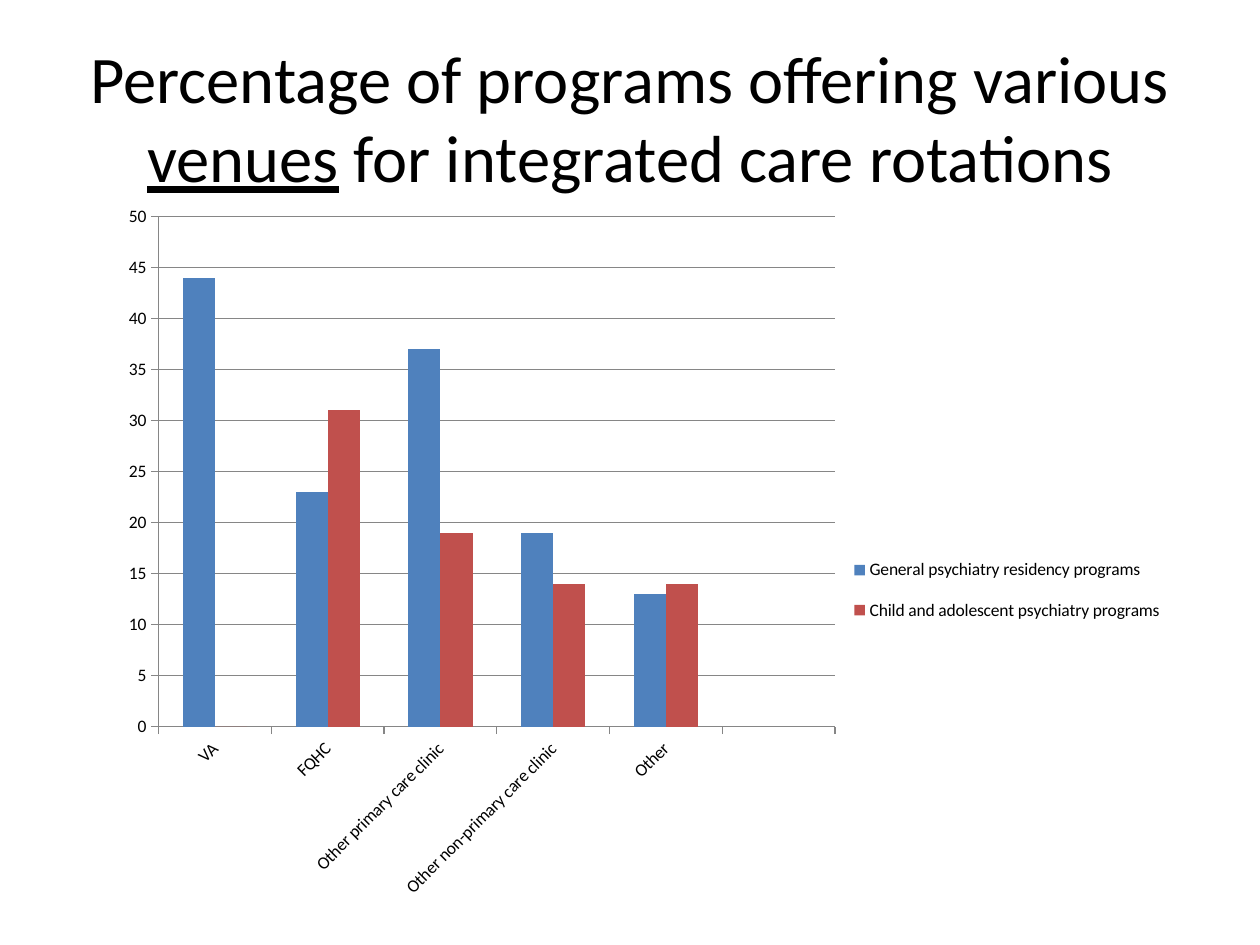
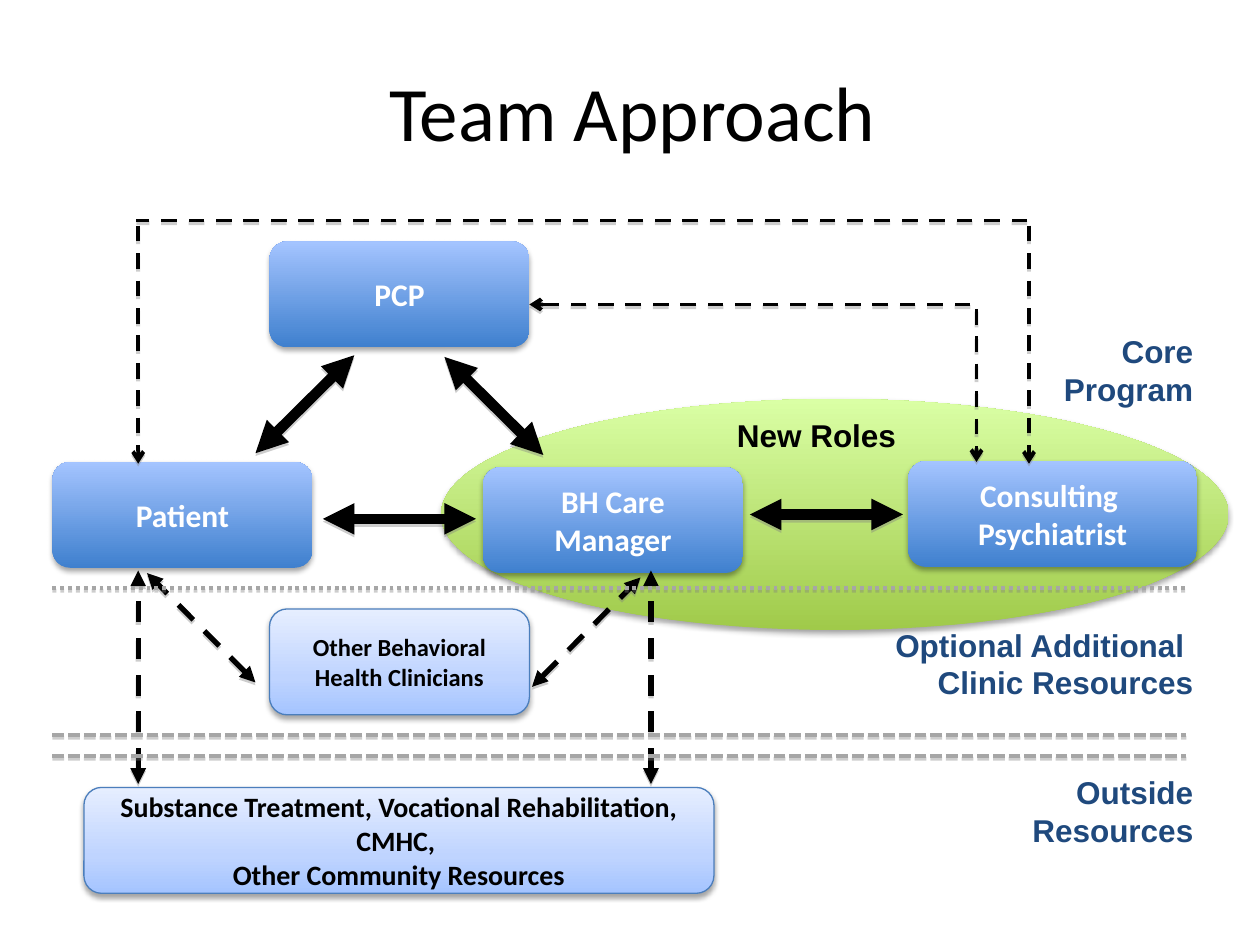
"""Build two slides on integrated care: a venue chart and a team diagram."""
from copy import deepcopy

from lxml.etree import SubElement
from pptx import Presentation
from pptx.chart.data import CategoryChartData
from pptx.dml.color import RGBColor
from pptx.enum.chart import XL_CHART_TYPE as ChartType, XL_LEGEND_POSITION as LegendPosition
from pptx.enum.chart import XL_TICK_MARK as TickMark
from pptx.enum.dml import MSO_LINE as Dash
from pptx.enum.shapes import MSO_CONNECTOR as Connector, MSO_SHAPE as Shape
from pptx.enum.text import MSO_ANCHOR as Anchor, PP_ALIGN as Align
from pptx.oxml.ns import qn
from pptx.util import Pt

colour = RGBColor.from_string
BLACK, WHITE, NAVY, GREY, AXIS_GREY = "000000", "FFFFFF", "1F497D", "A6A6A6", "868686"
GREEN_FADE = [(0, "A0CA4A"), (1, "DAFFA5")]
BLUE_FADE = [(0, "3F80CE"), (1, "A4C4FF")]
PALE_FADE = [(0, "A4C4FF"), (0.35, "BFD4FF"), (1, "E6EEFF")]
BOX_WIDTH, BOX_HEIGHT = 148.5, 60.5


def write_text(shape, lines, align, text_colour, **formats):
    """Write one paragraph per line; parts between bars are underlined."""
    frame = shape.text_frame
    for index, line in enumerate(lines):
        paragraph = frame.add_paragraph() if index else frame.paragraphs[0]
        paragraph.alignment = align
        for part_number, part in enumerate(line.split("|")):
            run = paragraph.add_run()
            run.text = part
            run.font.color.rgb = colour(text_colour)
            if part_number % 2:
                run.font.underline = True
            for name, value in formats.items():
                setattr(run.font, name, value)


def cast_shadow(shape, shadow_colour, opacity, blur, distance):
    """Drop a shadow straight below a shape or connector."""
    effects = SubElement(shape._element.spPr, qn("a:effectLst"))
    shadow = SubElement(effects, qn("a:outerShdw"), blurRad=str(Pt(blur)), dist=str(Pt(distance)),
                        dir="5400000", rotWithShape="0")
    tint = SubElement(shadow, qn("a:srgbClr"), val=shadow_colour)
    SubElement(tint, qn("a:alpha"), val=str(opacity * 1000))


presentation = Presentation()
presentation.slide_width, presentation.slide_height = Pt(720), Pt(540)
blank_layout = presentation.slide_layouts[6]
venue_slide, team_slide = [presentation.slides.add_slide(blank_layout) for _ in range(2)]

chart_data = CategoryChartData()
chart_data.categories = ["VA", "FQHC", "Other primary care clinic",
                         "Other non-primary care clinic", "Other", ""]
chart_data.add_series("General psychiatry residency programs", [44, 23, 37, 19, 13, None])
chart_data.add_series("Child and adolescent psychiatry programs", [0, 31, 19, 14, 14, None])
chart = venue_slide.shapes.add_chart(ChartType.COLUMN_CLUSTERED, Pt(60), Pt(111.5),
                                     Pt(613.5), Pt(410.5), chart_data).chart
chart.has_title = False
chart.font.name, chart.font.size = "Calibri", Pt(10)
chart.font.color.rgb = colour(BLACK)
plot = chart.plots[0]
plot.gap_width, plot.overlap, plot.vary_by_categories = 150, 0, False
for series, series_colour in zip(plot.series, ["4F81BD", "C0504D"]):
    series.format.fill.solid()
    series.format.fill.fore_color.rgb = colour(series_colour)

category_axis, value_axis = chart.category_axis, chart.value_axis
value_axis.minimum_scale, value_axis.maximum_scale, value_axis.major_unit = 0, 50, 5
value_axis.has_major_gridlines = True
for axis in (category_axis, value_axis):
    axis.major_tick_mark, axis.minor_tick_mark = TickMark.OUTSIDE, TickMark.NONE
    axis.tick_labels.font.size = Pt(10)
for line_format in (category_axis.format, value_axis.format, value_axis.major_gridlines.format):
    line_format.line.color.rgb = colour(AXIS_GREY)
    line_format.line.width = Pt(0.75)
category_axis._element.find(".//" + qn("a:bodyPr")).set("rot", "-2700000")

chart.has_legend = True
chart.legend.position = LegendPosition.RIGHT
chart.legend.include_in_layout = False
plot_area = chart._chartSpace.chart.plotArea
for element, index, target, place in [(plot_area, 0, "inner", (0.05, 0.03, 0.63, 0.71)),
                                      (chart.legend._element, 1, None, (0.69, 0.48, 0.3, 0.14))]:
    for old_layout in element.findall(qn("c:layout")):
        element.remove(old_layout)
    layout = SubElement(element, qn("c:layout"))
    element.insert(index, layout)
    manual = SubElement(layout, qn("c:manualLayout"))
    settings = [("layoutTarget", target)] if target else []
    settings += [("xMode", "edge"), ("yMode", "edge"), *zip("xywh", place)]
    for name, value in settings:
        SubElement(manual, qn("c:" + name), val=str(value))

ellipse = (Shape.OVAL, 252, 228, 450, 132, GREEN_FADE, [], WHITE, 18)
boxes = [
    (154, 138, BOX_WIDTH, BLUE_FADE, ["PCP"], WHITE, 18),
    (30, 264, BOX_WIDTH, BLUE_FADE, ["Patient"], WHITE, 18),
    (276, 267, BOX_WIDTH, BLUE_FADE, ["BH Care", "Manager"], WHITE, 18),
    (519, 263.5, 165, BLUE_FADE, ["Consulting ", "Psychiatrist"], WHITE, 18),
    (154, 348, BOX_WIDTH, PALE_FADE, ["Other Behavioral Health Clinicians"], BLACK, 14),
    (48, 450, 360, PALE_FADE, ["Substance Treatment, Vocational Rehabilitation, CMHC, ",
                               "Other Community Resources"], BLACK, 16),
]
rounded = [(Shape.ROUNDED_RECTANGLE, left, top, width, BOX_HEIGHT, *rest)
           for left, top, width, *rest in boxes]
for kind, left, top, width, height, fade, lines, text_colour, size in [ellipse, *rounded]:
    shape = team_slide.shapes.add_shape(kind, Pt(left), Pt(top), Pt(width), Pt(height))
    shape.fill.gradient()
    shape.fill.gradient_angle = 90
    stop_list = shape._element.spPr.find(".//" + qn("a:gsLst"))
    while len(stop_list) < len(fade):
        stop_list.append(deepcopy(stop_list[-1]))
    for stop, (position, stop_colour) in zip(shape.fill.gradient_stops, fade):
        stop.position, stop.color.rgb = position, colour(stop_colour)
    if fade is PALE_FADE:
        shape.line.color.rgb, shape.line.width = colour("4B7EBC"), Pt(0.75)
    else:
        shape.line.fill.background()
    cast_shadow(shape, BLACK, 35, 3.1, 1.8)
    shape.text_frame.vertical_anchor = Anchor.MIDDLE
    write_text(shape, lines, Align.CENTER, text_colour, name="Calibri", size=Pt(size), bold=True)

connector_groups = [
    (BLACK, 6, None, "triangle", "triangle", [
        (254, 204, 310.5, 260), (146, 259, 202.5, 203),
        (184.5, 296.5, 272, 296.5), (428.5, 294, 516, 294)]),
    (BLACK, 3, Dash.DASH, "triangle", "triangle", [
        (146, 390, 84, 327.5), (304, 392.5, 366, 330),
        (79, 448, 79, 326), (372, 448, 372, 326)]),
    (BLACK, 2.25, Dash.DASH, None, "arrow", [
        (558, 176.5, 558, 264), (554.5, 174, 302.5, 174),
        (588, 129, 588, 265), (79, 129, 79, 265)]),
    (BLACK, 2.25, Dash.DASH, None, None, [(587, 126, 78, 126)]),
    (GREY, 2.25, Dash.ROUND_DOT, None, None, [(30, 336, 678, 336)]),
    (GREY, 2.25, Dash.SQUARE_DOT, None, None, [(30, 420, 678, 420), (30, 432, 678, 432)]),
]
for line_colour, width, dash, head, tail, routes in connector_groups:
    for route in routes:
        connector = team_slide.shapes.add_connector(Connector.STRAIGHT, *map(Pt, route))
        connector.line.color.rgb, connector.line.width = colour(line_colour), Pt(width)
        if dash:
            connector.line.dash_style = dash
        for tag, arrow in (("a:headEnd", head), ("a:tailEnd", tail)):
            if arrow:
                SubElement(connector.line._get_or_add_ln(), qn(tag), type=arrow)
        cast_shadow(connector, "808080", 38, 0, 1.6)

labels = [
    (600, 186, 89, 51, ["Core", "Program"], Align.RIGHT, NAVY),
    (502.5, 354, 186.5, 51, ["Optional Additional ", "Clinic Resources"], Align.RIGHT, NAVY),
    (582, 438, 107, 51, ["Outside", "Resources"], Align.RIGHT, NAVY),
    (414, 234, 114, 29, ["New Roles"], Align.LEFT, BLACK),
]
for left, top, width, height, lines, align, text_colour in labels:
    label = team_slide.shapes.add_textbox(Pt(left), Pt(top), Pt(width), Pt(height))
    label.text_frame.word_wrap = align == Align.LEFT
    write_text(label, lines, align, text_colour, name="Arial", size=Pt(18), bold=True)

titles = [
    (venue_slide, 36, 21.5, 38,
     "Percentage of programs offering various |venues| for integrated care rotations"),
    (team_slide, 37.5, 18, 44, "Team Approach"),
]
for slide, left, top, size, text in titles:
    title = slide.shapes.add_textbox(Pt(left), Pt(top), Pt(648), Pt(90))
    title.text_frame.word_wrap = True
    title.text_frame.vertical_anchor = Anchor.MIDDLE
    write_text(title, [text], Align.CENTER, BLACK, name="Calibri", size=Pt(size))

presentation.save("out.pptx")
